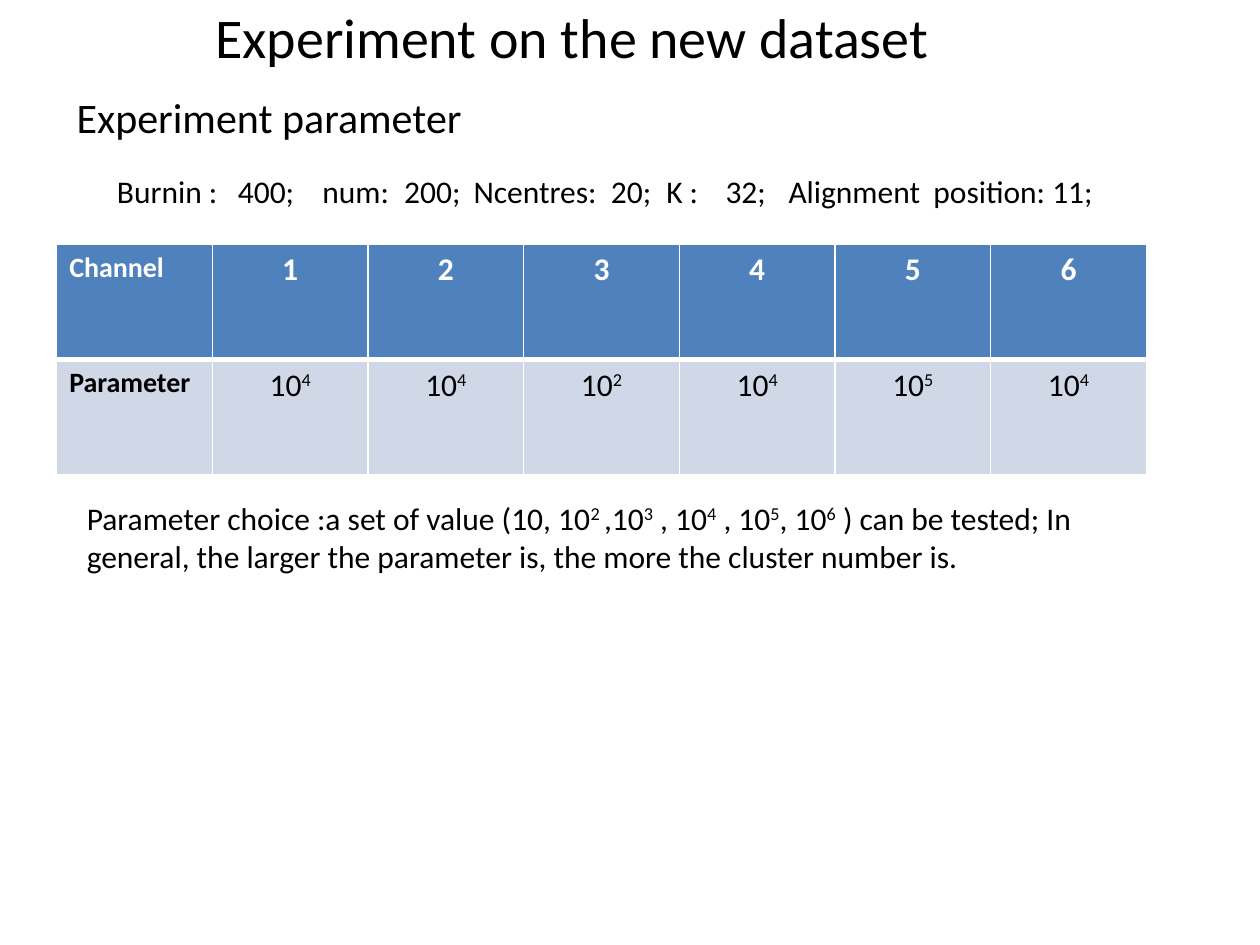
from lxml import etree
from pptx import Presentation
from pptx.dml.color import RGBColor
from pptx.enum.text import PP_ALIGN
from pptx.oxml.ns import qn
from pptx.util import Emu, Inches, Pt

CENTER = PP_ALIGN.CENTER
LEFT = PP_ALIGN.LEFT
BLACK = RGBColor(0, 0, 0)
WHITE = RGBColor(255, 255, 255)
BLUE = RGBColor(0x4F, 0x81, 0xBD)
PALE = RGBColor(0xD0, 0xD8, 0xE8)

deck = Presentation()
deck.slide_width, deck.slide_height = Inches(10), Inches(7.5)
slide = deck.slides.add_slide(deck.slide_layouts[6])


def write(frame, text, size, color=BLACK, bold=False, align=LEFT):
    """Fill a text frame; parts between ^ marks are raised."""
    para = frame.paragraphs[0]
    para.alignment = align
    for i, part in enumerate(text.split("^")):
        if not part:
            continue
        run = para.add_run()
        run.text = part
        font = run.font
        font.name, font.size, font.bold = "Calibri", Pt(size), bold
        font.color.rgb = color
        if i % 2:
            run._r.get_or_add_rPr().set("baseline", "30000")
    return para


def edge(cell, side, width):
    """Draw one white border of a cell."""
    line = etree.SubElement(cell._tc.get_or_add_tcPr(), qn("a:" + side))
    line.set("w", str(Pt(width)))
    fill = etree.SubElement(line, qn("a:solidFill"))
    etree.SubElement(fill, qn("a:srgbClr")).set("val", str(WHITE))


# Text boxes: left, top, width, height, size, text
settings = ("Burnin :\t400;\tnum:\t200;\tNcentres:\t20;\tK :\t32;"
            "\tAlignment\tposition: 11;")
choice = ("Parameter choice :a set of value (10, 10^2 ^,10^3^ , 10^4^ , 10^5^, "
          "10^6^ ) can be tested; In general, the larger the parameter is, "
          "the more the cluster number is.")
boxes = [
    (1.61, -0.03, 5.91, 1.18, 32, "Experiment on the new dataset"),
    (0.51, 0.68, 3.45, 0.5, 24, "Experiment parameter"),
    (0.83, 1.32, 8.01, 0.4, 18, settings),
    (0.59, 3.91, 8.51, 0.71, 18, choice),
]
stops = [0.96, 1.63, 2.28, 2.83, 3.92, 4.36, 4.83, 5.33, 6.48]
for *place, size, text in boxes:
    box = slide.shapes.add_textbox(*map(Inches, place))
    box.text_frame.word_wrap = True
    para = write(box.text_frame, text, size)
    if "\t" in text:
        tabs = etree.SubElement(para._p.get_or_add_pPr(), qn("a:tabLst"))
        for stop in stops:
            tab = etree.SubElement(tabs, qn("a:tab"))
            tab.set("pos", str(Inches(stop)))
            tab.set("algn", "l")

# Parameter table
rows = [
    ["Channel"] + [str(n) for n in range(1, 7)],
    ["Parameter"] + [f"10^{n}^" for n in (4, 4, 2, 4, 5, 4)],
]
wide, high = Inches(8.65), Inches(1.83)
table = slide.shapes.add_table(
    2, 7, Inches(0.45), Inches(1.94), wide, high).table
for col in table.columns:
    col.width = Emu(wide // 7)
for r, row in enumerate(rows):
    head = r == 0
    for c, text in enumerate(row):
        cell = table.cell(r, c)
        first = c == 0
        write(cell.text_frame, text, 16 if first else 18,
              WHITE if head else BLACK, head or first,
              LEFT if first else CENTER)
        for side in ("lnL", "lnR", "lnT", "lnB"):
            thick = side == ("lnB" if head else "lnT")
            edge(cell, side, 3 if thick else 1)
        cell.fill.solid()
        cell.fill.fore_color.rgb = BLUE if head else PALE

deck.save("out.pptx")
